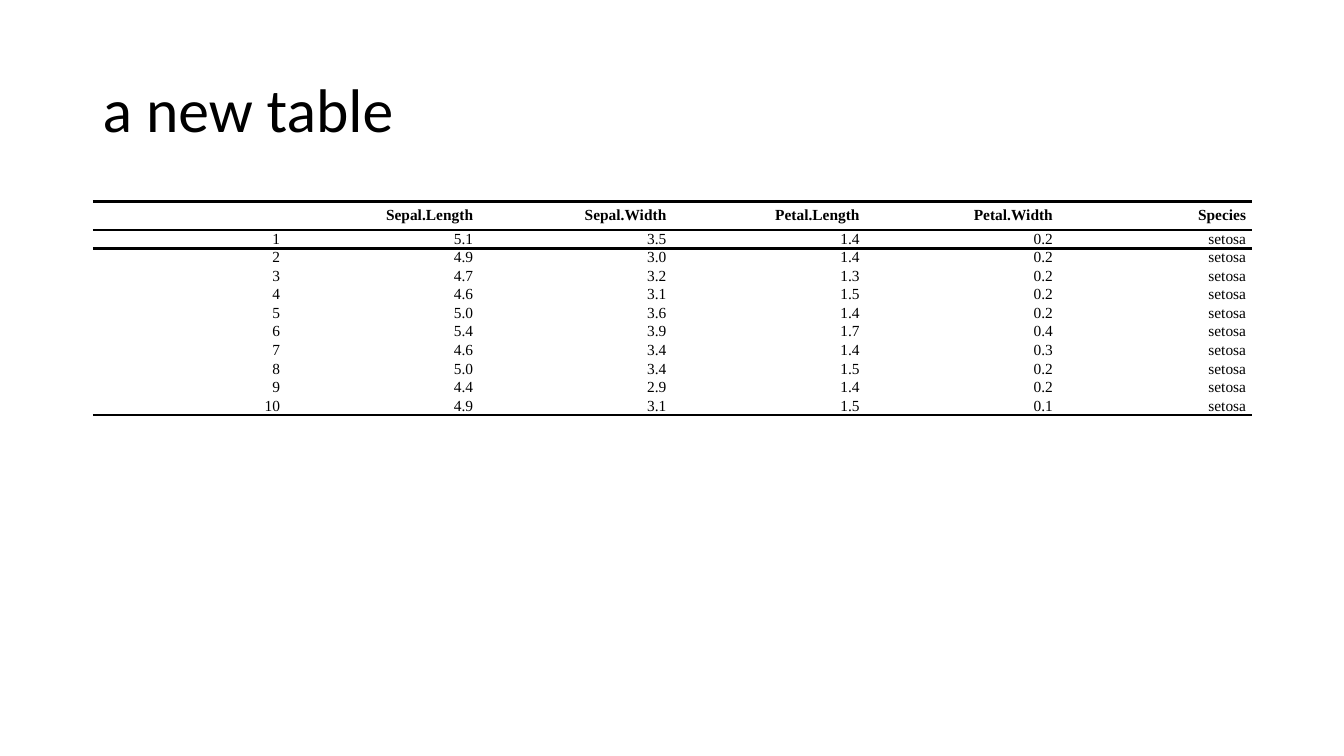
from lxml import etree
from pptx import Presentation
from pptx import util as u
from pptx.dml.color import RGBColor
from pptx.enum import text
from pptx.oxml import ns

TITLE = "a new table"
HEADER = ("", "Sepal.Length", "Sepal.Width", "Petal.Length", "Petal.Width", "Species")
MEASUREMENTS = [
    ("5.1", "3.5", "1.4", "0.2"),
    ("4.9", "3.0", "1.4", "0.2"),
    ("4.7", "3.2", "1.3", "0.2"),
    ("4.6", "3.1", "1.5", "0.2"),
    ("5.0", "3.6", "1.4", "0.2"),
    ("5.4", "3.9", "1.7", "0.4"),
    ("4.6", "3.4", "1.4", "0.3"),
    ("5.0", "3.4", "1.5", "0.2"),
    ("4.4", "2.9", "1.4", "0.2"),
    ("4.9", "3.1", "1.5", "0.1"),
]
SPECIES = "setosa"

BLACK = RGBColor(0, 0, 0)
LEFT, WIDTH = u.Inches(0.92), u.Inches(11.5)
HEADER_HEIGHT, BODY_HEIGHT = u.Inches(0.28), u.Inches(0.17)
RULE_WIDTH = u.Pt(2)
NO_STYLE = "{2D5ABB26-0587-4C30-8999-92F81FD0307C}"
TITLE_FONT = {"name": "Calibri", "size": u.Pt(44)}
CELL_FONT = {"name": "Times New Roman", "size": u.Pt(11)}
CELL_FORMAT = {
    "margin_left": u.Inches(0.06),
    "margin_right": u.Inches(0.06),
    "margin_top": 0,
    "margin_bottom": 0,
    "vertical_anchor": text.MSO_ANCHOR.MIDDLE,
}


def apply(target, values):
    for attribute, value in values.items():
        setattr(target, attribute, value)


def write(paragraph, words, font_values, bold=False):
    run = paragraph.add_run()
    run.text = words
    apply(run.font, {**font_values, "bold": bold})
    run.font.color.rgb = BLACK


def add_rule(cell, side):
    rule = etree.SubElement(cell._tc.get_or_add_tcPr(), ns.qn(f"a:{side}"), w=str(RULE_WIDTH))
    fill = etree.SubElement(rule, ns.qn("a:solidFill"))
    etree.SubElement(fill, ns.qn("a:srgbClr"), val=str(BLACK))


def add_title(slide):
    frame = slide.shapes.add_textbox(LEFT, u.Inches(0.39), WIDTH, u.Inches(1.45)).text_frame
    apply(frame, {"word_wrap": True, "vertical_anchor": text.MSO_ANCHOR.MIDDLE})
    frame.paragraphs[0].line_spacing = 0.9
    write(frame.paragraphs[0], TITLE, TITLE_FONT)


def add_iris_table(slide):
    rows = [HEADER] + [
        (str(number), *values, SPECIES) for number, values in enumerate(MEASUREMENTS, 1)
    ]
    height = HEADER_HEIGHT + BODY_HEIGHT * len(MEASUREMENTS)
    frame = slide.shapes.add_table(len(rows), len(HEADER), LEFT, u.Inches(2), WIDTH, height)
    iris = frame.table
    apply(iris, {"first_row": False, "horz_banding": False})
    iris._tbl.tblPr.find(ns.qn("a:tableStyleId")).text = NO_STYLE

    rules = {0: ("lnT", "lnB"), 1: ("lnT",), len(rows) - 1: ("lnB",)}
    for row_index, row in enumerate(rows):
        is_header = row_index == 0
        iris.rows[row_index].height = HEADER_HEIGHT if is_header else BODY_HEIGHT
        for column_index, words in enumerate(row):
            cell = iris.cell(row_index, column_index)
            apply(cell, CELL_FORMAT)
            for side in rules.get(row_index, ()):
                add_rule(cell, side)
            cell.fill.background()
            paragraph = cell.text_frame.paragraphs[0]
            paragraph.alignment = text.PP_ALIGN.RIGHT
            if words:
                write(paragraph, words, CELL_FONT, is_header)
            else:
                size = str(int(CELL_FONT["size"].pt * 100))
                etree.SubElement(paragraph._p, ns.qn("a:endParaRPr"), sz=size)


def main():
    deck = Presentation()
    apply(deck, {"slide_width": u.Inches(13.33), "slide_height": u.Inches(7.5)})
    slide = deck.slides.add_slide(deck.slide_layouts[6])
    add_title(slide)
    add_iris_table(slide)
    deck.save("out.pptx")


if __name__ == "__main__":
    main()
